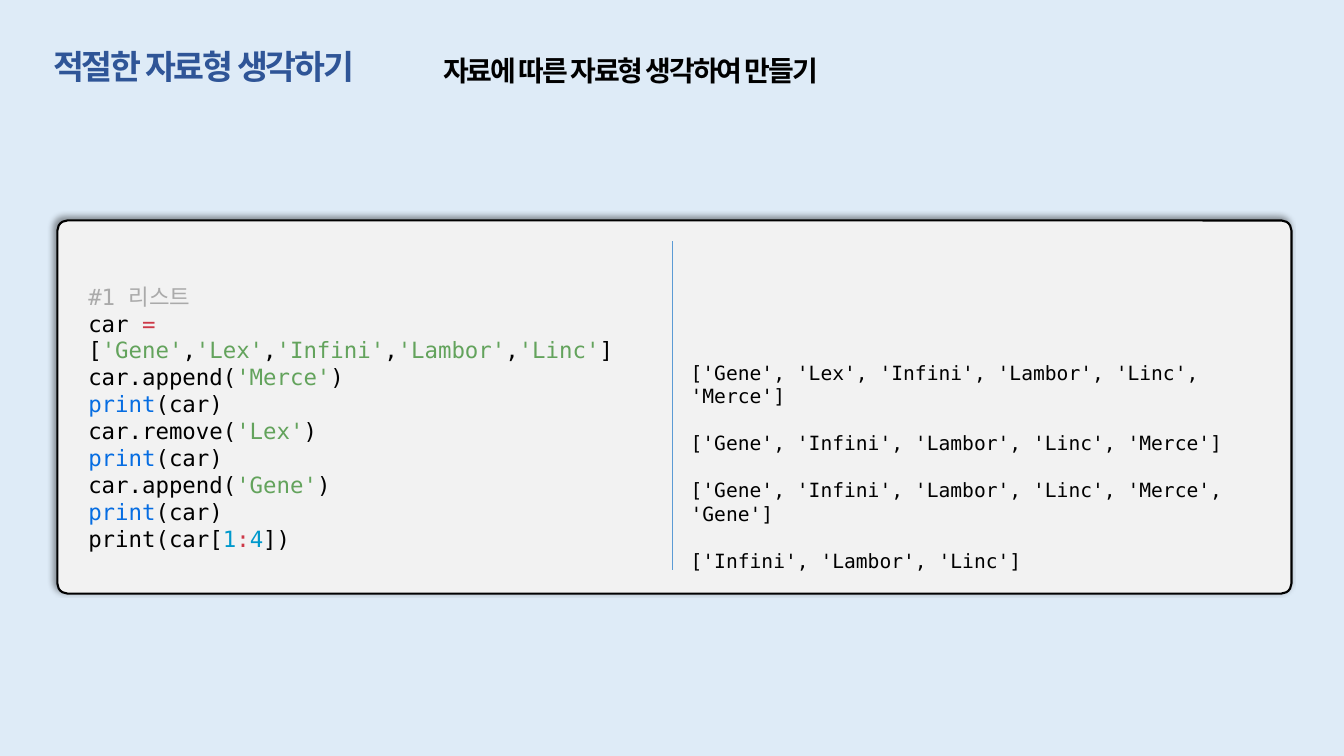
from lxml import etree
from pptx import Presentation
from pptx.dml.color import RGBColor
from pptx.enum.shapes import MSO_CONNECTOR, MSO_SHAPE
from pptx.enum.text import MSO_ANCHOR, MSO_AUTO_SIZE, PP_ALIGN
from pptx.oxml import parse_xml
from pptx.oxml.ns import qn
from pptx.util import Pt

KOREAN, MONO, PLAIN = "Noto Sans CJK KR", "DejaVu Sans Mono", "Arial"
SKY, BLACK = "DEEBF7", "000000"
GREY, RED, GREEN, BLUE, CYAN = "AAAAAA", "CD3948", "63A35C", "066DE2", "0099CC"
DRAWING_NS = "http://schemas.openxmlformats.org/drawingml/2006/main"

PRINT_CAR = [("print", BLUE), "(car)"]


def call(method, name):
    return [f"car.{method}(", (f"'{name}'", GREEN), ")"]


def list_literal(names):
    """Runs of a highlighted list of strings."""
    runs = ["["]
    for index, name in enumerate(names):
        runs += [","] if index else []
        runs.append((f"'{name}'", GREEN))
    return runs + ["]"]


CODE = [
    [("#1 ", GREY), ("리스트", GREY, PLAIN)],
    ["car ", ("= ", RED)] + list_literal(["Gene", "Lex", "Infini", "Lambor", "Linc"]),
    call("append", "Merce"),
    PRINT_CAR,
    call("remove", "Lex"),
    PRINT_CAR,
    call("append", "Gene"),
    PRINT_CAR,
    ["print(car[", ("1", CYAN), (":", RED), ("4", CYAN), "])"],
]
OUTPUT = [
    ["['Gene', 'Lex', 'Infini', 'Lambor', 'Linc', 'Merce']"],
    ["['Gene', 'Infini', 'Lambor', 'Linc', 'Merce']"],
    ["['Gene', 'Infini', 'Lambor', 'Linc', 'Merce', 'Gene']"],
    ["['Infini', 'Lambor', 'Linc']"],
]


def rgb(hex_code):
    return RGBColor.from_string(hex_code)


def paint(fill, hex_code):
    fill.solid()
    fill.fore_color.rgb = rgb(hex_code)


def write_text(frame, lines, size, font=MONO, color=BLACK, bold=False,
               tracking=None, leading=None, gap=0):
    """Each line is a list of runs: a string, or (string, colour[, font])."""
    for index, runs in enumerate(lines):
        paragraph = frame.add_paragraph() if index else frame.paragraphs[0]
        paragraph.alignment = PP_ALIGN.LEFT
        if leading:
            paragraph.line_spacing = Pt(leading)
        if index and gap:
            paragraph.space_before = Pt(gap)
        for item in runs:
            text, *style = (item,) if isinstance(item, str) else item
            run = paragraph.add_run()
            run.text = text
            run.font.size, run.font.bold = Pt(size), bold
            run.font.color.rgb = rgb(style[0] if style else color)
            run.font.name = style[1] if len(style) > 1 else font
            properties = run.font._element
            east_asian = etree.SubElement(properties, qn("a:ea"))
            east_asian.set("typeface", run.font.name)
            if tracking is not None:
                properties.set("spc", str(round(tracking * 100)))


def add_text(slide, left, top, width, height, lines, wrap=True, **style):
    frame = slide.shapes.add_textbox(Pt(left), Pt(top), Pt(width), Pt(height)).text_frame
    frame.word_wrap = wrap
    write_text(frame, lines, **style)


def add_heading(slide, left, top, width, height):
    title = slide.shapes.title
    title.left, title.top, title.width, title.height = map(Pt, (left, top, width, height))
    paint(title.fill, SKY)
    frame = title.text_frame
    frame.auto_size = MSO_AUTO_SIZE.NONE
    frame.vertical_anchor = MSO_ANCHOR.MIDDLE
    frame.margin_left = Pt(38)
    heading_style = dict(font=KOREAN, bold=True, tracking=-1.5)
    write_text(frame, [["적절한 자료형 생각하기"]], size=24, color="2F5597", **heading_style)
    add_text(slide, left + 309.5, top + 5, 317, 31.5,
             [["자료에 따른 자료형 생각하여 만들기"]], wrap=False, size=20, **heading_style)


def add_panel(slide, left, top, width, height):
    panel = slide.shapes.add_shape(MSO_SHAPE.ROUNDED_RECTANGLE,
                                   Pt(left), Pt(top), Pt(width), Pt(height))
    panel.adjustments[0] = 0.027
    paint(panel.fill, "F2F2F2")
    panel.line.color.rgb = rgb(BLACK)
    panel.line.width = Pt(1.5)
    panel._element.spPr.append(parse_xml(
        f'<a:effectLst xmlns:a="{DRAWING_NS}">'
        f'<a:outerShdw blurRad="{Pt(4)}" dist="{Pt(3)}" dir="13500000" rotWithShape="0">'
        f'<a:srgbClr val="{BLACK}"><a:alpha val="40000"/></a:srgbClr>'
        '</a:outerShdw></a:effectLst>'))


def add_divider(slide, x, top, bottom):
    divider = slide.shapes.add_connector(MSO_CONNECTOR.STRAIGHT,
                                         Pt(x), Pt(top), Pt(x), Pt(bottom))
    divider.line.color.rgb = rgb("5B9BD5")
    divider.line.width = Pt(0.5)
    etree.SubElement(divider._element.spPr, qn("a:effectLst"))


def add_code_and_output(slide, left, top, width, height):
    """Panel with the program on the left and what it prints on the right."""
    middle = left + width / 2 - 1.5
    add_panel(slide, left, top, width, height)
    add_divider(slide, middle, top + 15, top + height - 17)
    add_text(slide, middle + 6, top + 96.5, left + width - middle - 6, 126,
             OUTPUT, size=14, leading=16.8, gap=16.8)
    add_text(slide, left + 15, top + 41, 422, 181.5, CODE, size=16, leading=19.2)


def main():
    deck = Presentation()
    deck.slide_width, deck.slide_height = Pt(960), Pt(540)
    slide = deck.slides.add_slide(deck.slide_layouts[5])
    paint(slide.background.fill, SKY)
    add_heading(slide, 0, 29.5, 960, 36)
    add_code_and_output(slide, 41, 157.5, 881.5, 266.5)
    deck.save("out.pptx")


if __name__ == "__main__":
    main()
